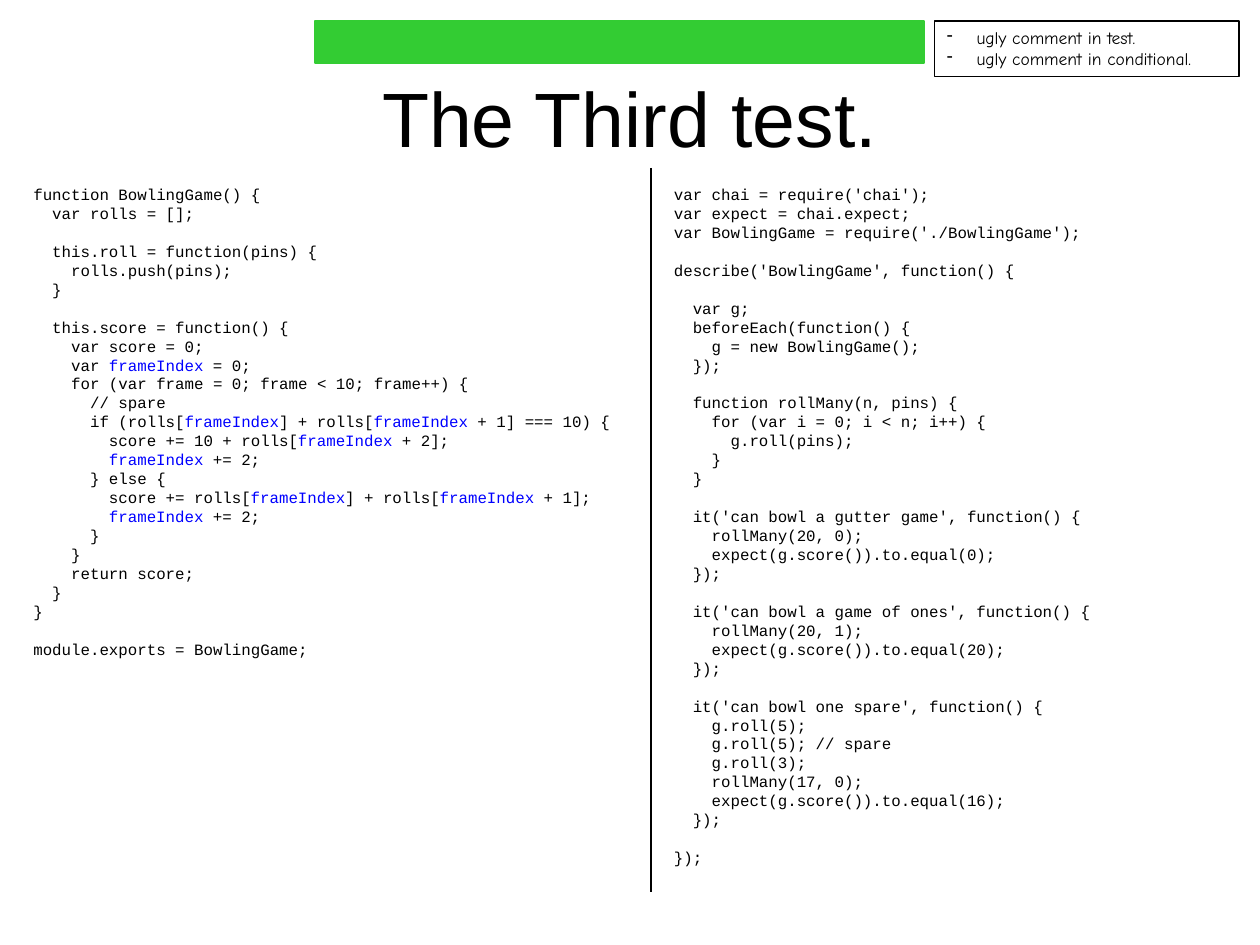
from lxml.etree import SubElement
from pptx import Presentation
from pptx.dml.color import RGBColor
from pptx.enum.shapes import MSO_CONNECTOR as CONNECTOR, MSO_SHAPE as SHAPE
from pptx.enum.text import MSO_ANCHOR as ANCHOR, MSO_AUTO_SIZE as AUTO_SIZE, PP_ALIGN as ALIGN
from pptx.oxml.ns import qn
from pptx.util import Pt

COLORS = {"ink": "000000", "variable": "0000FF", "passing": "33CC33"}
CODE_PITCH = 10.83
HIGHLIGHT = "frameIndex"

GAME_CODE = """\
function BowlingGame() {
  var rolls = [];

  this.roll = function(pins) {
    rolls.push(pins);
  }

  this.score = function() {
    var score = 0;
    var frameIndex = 0;
    for (var frame = 0; frame < 10; frame++) {
      // spare
      if (rolls[frameIndex] + rolls[frameIndex + 1] === 10) {
        score += 10 + rolls[frameIndex + 2];
        frameIndex += 2;
      } else {
        score += rolls[frameIndex] + rolls[frameIndex + 1];
        frameIndex += 2;
      }
    }
    return score;
  }
}

module.exports = BowlingGame;"""

TEST_CODE = """\
var chai = require('chai');
var expect = chai.expect;
var BowlingGame = require('./BowlingGame');

describe('BowlingGame', function() {

  var g;
  beforeEach(function() {
    g = new BowlingGame();
  });

  function rollMany(n, pins) {
    for (var i = 0; i < n; i++) {
      g.roll(pins);
    }
  }

  it('can bowl a gutter game', function() {
    rollMany(20, 0);
    expect(g.score()).to.equal(0);
  });

  it('can bowl a game of ones', function() {
    rollMany(20, 1);
    expect(g.score()).to.equal(20);
  });

  it('can bowl one spare', function() {
    g.roll(5);
    g.roll(5); // spare
    g.roll(3);
    rollMany(17, 0);
    expect(g.score()).to.equal(16);
  });

});"""

SMELLS = ["ugly comment in test.", "ugly comment in conditional."]


def color(name):
    return RGBColor.from_string(COLORS[name])


def set_font(paragraph, face, size):
    font = paragraph.font
    font.name, font.size = face, Pt(size)
    font.color.rgb = color("ink")


def add_title(slide, text, left, top, width, height):
    frame = slide.shapes.add_textbox(Pt(left), Pt(top), Pt(width), Pt(height)).text_frame
    frame.word_wrap = True
    frame.vertical_anchor = ANCHOR.MIDDLE
    heading = frame.paragraphs[0]
    heading.text = text
    heading.alignment = ALIGN.CENTER
    set_font(heading, "Arial", 44)


def add_code_line(paragraph, line):
    for position, piece in enumerate(line.split(HIGHLIGHT)):
        if position:
            variable = paragraph.add_run()
            variable.text = HIGHLIGHT
            variable.font.color.rgb = color("variable")
        if piece:
            paragraph.add_run().text = piece


def add_code(slide, code, left, top, width, height):
    frame = slide.shapes.add_textbox(Pt(left), Pt(top), Pt(width), Pt(height)).text_frame
    frame.word_wrap = True
    frame.auto_size = AUTO_SIZE.SHAPE_TO_FIT_TEXT
    for block_index, block in enumerate(code.split("\n\n")):
        for line_index, line in enumerate(block.split("\n")):
            starts_code = block_index == line_index == 0
            paragraph = frame.paragraphs[0] if starts_code else frame.add_paragraph()
            paragraph.line_spacing = Pt(CODE_PITCH)
            if block_index and line_index == 0:
                paragraph.space_before = Pt(CODE_PITCH)
            add_code_line(paragraph, line)
            set_font(paragraph, "Courier New", 9)


def add_box(slide, left, top, width, height, line, fill=None):
    box = slide.shapes.add_shape(SHAPE.RECTANGLE, Pt(left), Pt(top), Pt(width), Pt(height))
    box.shadow.inherit = False
    box.line.color.rgb = color(line)
    box.line.width = Pt(0.75)
    if fill:
        box.fill.solid()
        box.fill.fore_color.rgb = color(fill)
    else:
        box.fill.background()
    return box


def add_dash_bullet(paragraph, indent):
    properties = paragraph._p.get_or_add_pPr()
    properties.set("marL", str(Pt(indent)))
    properties.set("indent", str(-Pt(indent)))
    bullet_color = SubElement(properties, qn("a:buClr"))
    SubElement(bullet_color, qn("a:srgbClr"), val=COLORS["ink"])
    SubElement(properties, qn("a:buChar"), char="-")


def add_smell_list(slide, smells, left, top, width, height):
    frame = add_box(slide, left, top, width, height, "ink").text_frame
    frame.word_wrap = True
    frame.auto_size = AUTO_SIZE.SHAPE_TO_FIT_TEXT
    frame.vertical_anchor = ANCHOR.TOP
    for index, smell in enumerate(smells):
        paragraph = frame.add_paragraph() if index else frame.paragraphs[0]
        paragraph.text = smell
        paragraph.alignment = ALIGN.LEFT
        add_dash_bullet(paragraph, 17)
        set_font(paragraph, "Comic Neue", 10)


def add_divider(slide, x, top, bottom):
    divider = slide.shapes.add_connector(CONNECTOR.STRAIGHT, Pt(x), Pt(top), Pt(x), Pt(bottom))
    divider.line.color.rgb = color("ink")
    divider.line.width = Pt(0.75)
    SubElement(divider._element.spPr, qn("a:effectLst"))


def main():
    deck = Presentation()
    deck.slide_width, deck.slide_height = Pt(720), Pt(540)
    slide = deck.slides.add_slide(deck.slide_layouts[6])
    add_title(slide, "The Third test.", 36, 21.6, 648, 90)
    add_code(slide, GAME_CODE, 12, 102, 354, 278)
    add_divider(slide, 372, 96, 510)
    add_code(slide, TEST_CODE, 378, 102, 318, 397)
    add_smell_list(slide, SMELLS, 534, 12, 174, 31.7)
    add_box(slide, 180, 12, 348, 24, "passing", "passing")
    deck.save("out.pptx")


if __name__ == "__main__":
    main()
